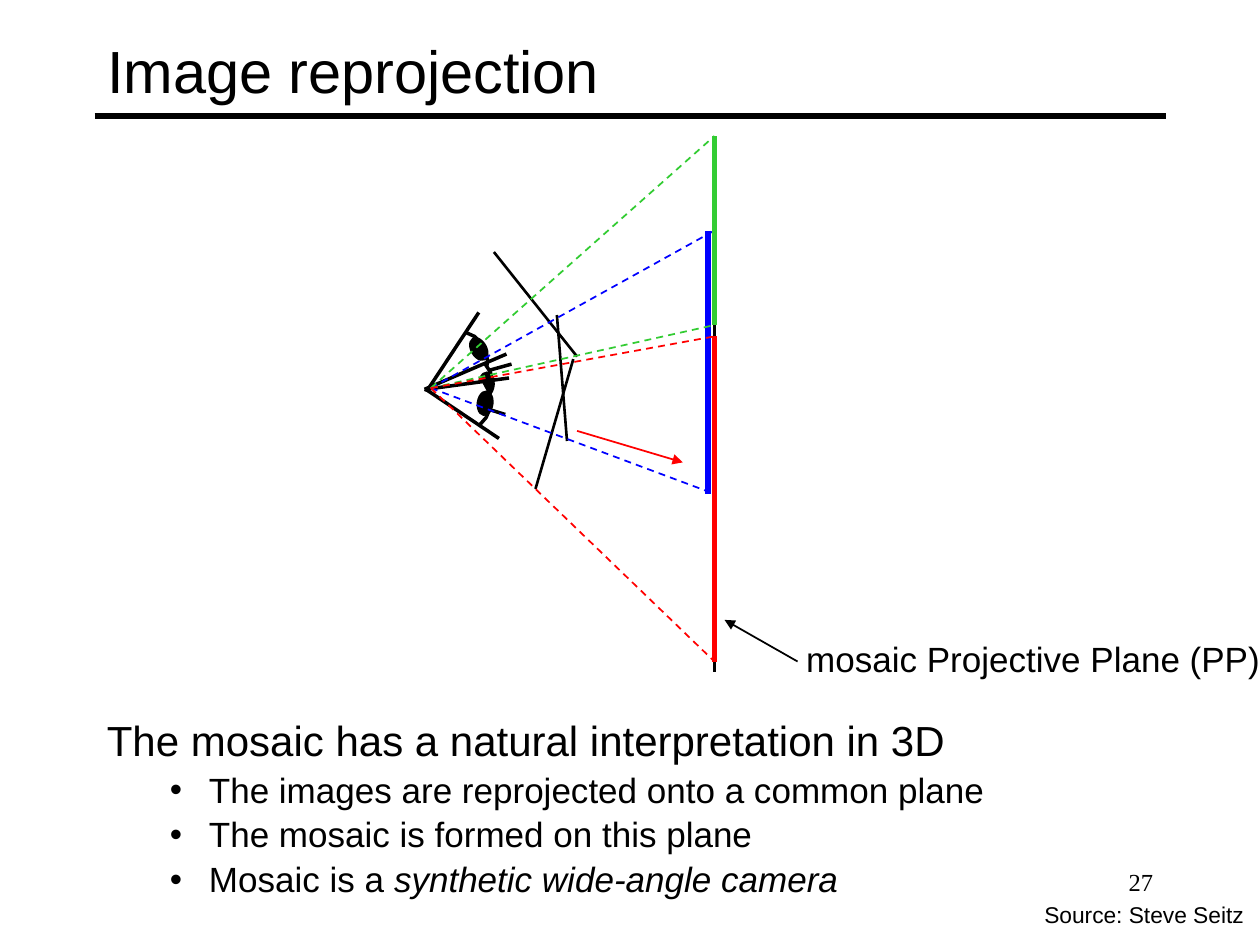
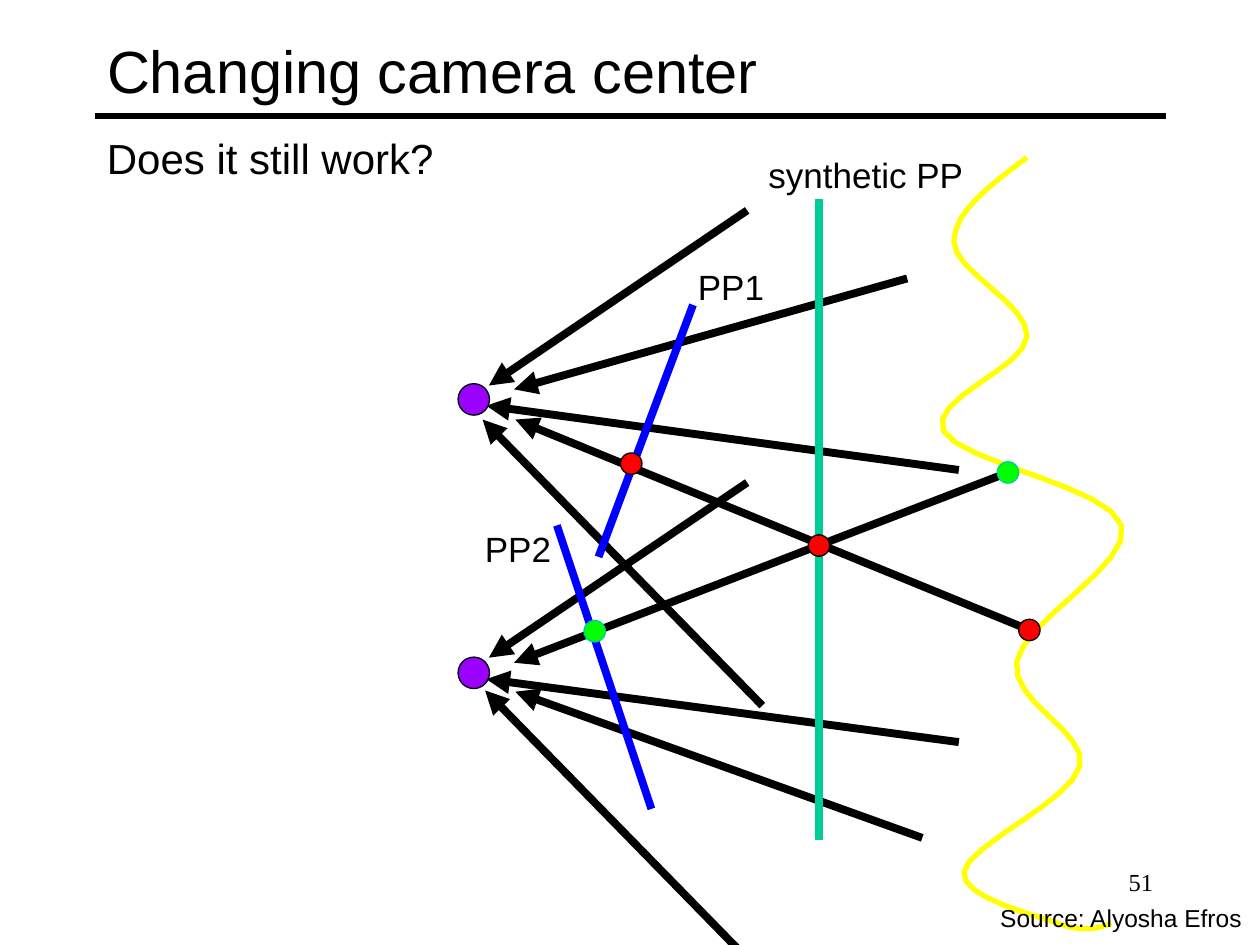
from lxml.etree import SubElement
from pptx import Presentation
from pptx.dml.color import RGBColor
from pptx.enum.dml import MSO_LINE
from pptx.enum.shapes import MSO_CONNECTOR, MSO_SHAPE
from pptx.enum.text import MSO_ANCHOR, MSO_AUTO_SIZE, PP_ALIGN
from pptx.oxml.ns import qn
from pptx.util import Inches, Pt

BLACK = RGBColor(0x00, 0x00, 0x00)
WHITE = RGBColor(0xFF, 0xFF, 0xFF)
BLUE = RGBColor(0x00, 0x00, 0xFF)
LEAF = RGBColor(0x33, 0xCC, 0x33)
LIME = RGBColor(0x00, 0xFF, 0x00)
RED = RGBColor(0xFF, 0x00, 0x00)
TEAL = RGBColor(0x00, 0xCC, 0x99)
PURPLE = RGBColor(0x99, 0x00, 0xFF)
YELLOW = RGBColor(0xFF, 0xFF, 0x00)

SANS = "Arial"
SERIF = "Times New Roman"
TITLE = {"word_wrap": True, "auto_size": MSO_AUTO_SIZE.NONE,
         "vertical_anchor": MSO_ANCHOR.MIDDLE}
LEAD = {"size": 24, "left": 0.38, "hang": -0.38}
POINT = {"size": 20, "left": 0.81, "hang": -0.31, "bullet": "•"}


def apply(target, values):
    for name, value in values.items():
        setattr(target, name, value)


def write(para, text, size, face=SANS, slant=None):
    run = para.add_run()
    run.text = text
    apply(run.font, {"name": face, "size": Pt(size), "italic": slant})
    run.font.color.rgb = BLACK


def add_box(slide, area, wrap=True):
    box = slide.shapes.add_textbox(*map(Inches, area))
    apply(box.text_frame, {"word_wrap": wrap, "vertical_anchor": MSO_ANCHOR.TOP})
    return box.text_frame


def add_label(slide, area, text, size=20, wrap=False, face=SANS, align=PP_ALIGN.LEFT):
    para = add_box(slide, area, wrap).paragraphs[0]
    para.alignment = align
    write(para, text, size, face)


def add_body(slide, area, rows, pitch):
    frame = add_box(slide, area)
    for index, (form, parts) in enumerate(rows):
        para = frame.add_paragraph() if index else frame.paragraphs[0]
        props = para._p.get_or_add_pPr()
        props.set("marL", str(Inches(form["left"])))
        props.set("indent", str(Inches(form["hang"])))
        if "bullet" in form:
            SubElement(props, qn("a:buFont")).set("typeface", SANS)
            SubElement(props, qn("a:buChar")).set("char", form["bullet"])
        apply(para, {"line_spacing": pitch, "space_before": Pt(4 if index else 0)})
        for text, slant in parts:
            write(para, text, form["size"], slant=slant)


def add_line(slide, start, end, color=BLACK, width=1.5, dash=None, arrow=False):
    line = slide.shapes.add_connector(MSO_CONNECTOR.STRAIGHT, *map(Inches, (*start, *end)))
    line.line.color.rgb = color
    apply(line.line, {"width": Pt(width), "dash_style": dash})
    if arrow:
        SubElement(line.line._ln, qn("a:tailEnd")).set("type", "triangle")
    SubElement(line._element.spPr, qn("a:effectLst"))
    return line


def add_oval(slide, center, size, fill, edge=BLACK, width=0.75, tilt=0):
    corner = [mid - side / 2 for mid, side in zip(center, size)]
    oval = slide.shapes.add_shape(MSO_SHAPE.OVAL, *map(Inches, (*corner, *size)))
    oval.fill.solid()
    oval.fill.fore_color.rgb = fill
    oval.line.color.rgb = edge
    oval.line.width = Pt(width)
    oval.rotation = tilt
    oval.shadow.inherit = False


def trace(knots, steps):
    points = [knots[0]]
    for first in range(0, len(knots) - 1, 3):
        for step in range(1, steps + 1):
            t = step / steps
            weights = ((1 - t) ** 3, 3 * t * (1 - t) ** 2, 3 * t ** 2 * (1 - t), t ** 3)
            points.append(tuple(sum(w * k[axis] for w, k in zip(weights, knots[first:]))
                                for axis in (0, 1)))
    return points


def add_path(slide, points, fill=None, color=None, width=2):
    start, *rest = [tuple(map(Inches, point)) for point in points]
    pen = slide.shapes.build_freeform(*start)
    pen.add_line_segments(rest, close=fill is not None)
    path = pen.convert_to_shape()
    if fill is None:
        path.fill.background()
    else:
        path.fill.solid()
        path.fill.fore_color.rgb = fill
    if color is None:
        path.line.fill.background()
    else:
        path.line.color.rgb = color
        path.line.width = Pt(width)
    path.shadow.inherit = False


def add_eye(slide, apex, lids, arc, pupil, tilt, front=True):
    curve = trace(arc, 5)
    if front:
        add_path(slide, [apex, *curve], fill=WHITE)
    add_path(slide, curve, color=BLACK)
    add_line(slide, lids[0], apex, width=2)
    add_oval(slide, pupil, (0.12, 0.19), BLACK, width=1, tilt=tilt)
    add_line(slide, apex, lids[1], width=2)


def add_view(slide, color, top, low, plane):
    for end in (top, low):
        add_line(slide, (3.42, 3.08), (5.67, end), color, 1, MSO_LINE.DASH)
    add_line(slide, (plane, top), (plane, low), color, 3)


def add_page(deck, heading, number):
    slide = deck.slides.add_slide(deck.slide_layouts[5])
    title = slide.shapes.title
    sides = zip(("left", "top", "width", "height"), map(Inches, (0.75, 0.09, 8.5, 0.92)))
    apply(title, dict(sides))
    apply(title.text_frame, TITLE)
    para = title.text_frame.paragraphs[0]
    para.alignment = PP_ALIGN.LEFT
    write(para, heading, 34)
    add_label(slide, (7.17, 6.83, 2.08, 0.5), number, 14, True, SERIF, PP_ALIGN.RIGHT)
    return slide


def share_rule(slide):
    rule = add_line(slide, (0.75, 0.92), (9.25, 0.92), width=3)._element
    rule.nvCxnSpPr.cNvPr.set("id", "90")
    slide.slide_layout.shapes._spTree.append(rule)


def draw_mosaic(deck):
    slide = add_page(deck, "Image reprojection", "27")
    share_rule(slide)
    add_line(slide, (5.67, 1.08), (5.67, 5.33))
    add_label(slide, (6.3, 5.01, 3.84, 0.44), "mosaic Projective Plane (PP)")
    add_line(slide, (6.33, 5.25), (5.75, 4.92), width=1, arrow=True)

    add_body(slide, (0.75, 5.67, 8.5, 1.67), [
        (LEAD, [("The mosaic has a natural interpretation in 3D", None)]),
        (POINT, [("The images are reprojected onto a common plane", None)]),
        (POINT, [("The mosaic is formed on this plane", None)]),
        (POINT, [("Mosaic is a ", None), ("synthetic wide-angle camera", True)]),
    ], 0.9)

    eyes = [
        ((3.41, 3.07), [(3.8, 2.48), (4.06, 2.89)],
         [(3.7, 2.64), (3.82, 2.67), (3.9, 2.81), (3.86, 2.94)], (3.8, 2.77), 330.3, False),
        ((3.37, 3.09), [(4.02, 2.81), (4.01, 3.29)],
         [(3.85, 2.89), (3.94, 2.98), (3.92, 3.13), (3.82, 3.23)], (3.86, 3.05), 3.4),
        ((3.38, 3.09), [(3.96, 3.48), (4.04, 3)],
         [(3.81, 3.37), (3.91, 3.29), (3.92, 3.14), (3.84, 3.03)], (3.85, 3.2), 7.2),
    ]
    for eye in eyes:
        add_eye(slide, *eye)
    planes = [((3.92, 2), (4.58, 2.83)), ((4.42, 2.5), (4.5, 3.5)), ((4.25, 3.88), (4.55, 2.85))]
    for start, end in planes:
        add_line(slide, start, end)

    add_view(slide, BLUE, 1.83, 3.92, 5.62)
    add_view(slide, LEAF, 1.08, 2.58, 5.67)
    add_view(slide, RED, 2.67, 5.25, 5.67)
    add_line(slide, (4.58, 3.42), (5.42, 3.67), RED, 1, arrow=True)
    add_label(slide, (8.19, 7.1, 1.81, 0.32), "Source: Steve Seitz", 13, True)


def draw_centers(deck):
    slide = add_page(deck, "Changing camera center", "51")
    add_body(slide, (0.75, 1, 8.5, 0.58), [(LEAD, [("Does it still work?", None)])], 1)

    rays = [
        ((7.2, 2.21), (4.08, 3.09)), ((7.61, 3.73), (3.86, 3.22)),
        ((8.17, 5), (4.09, 3.33)), ((5.93, 1.67), (3.88, 3.06)),
        ((6.05, 5.6), (3.83, 3.33)), ((8, 3.75), (4.08, 5.26)),
        ((7.61, 5.89), (3.86, 5.39)), ((7.32, 6.65), (4.09, 5.49)),
        ((5.93, 3.83), (3.88, 5.22)), ((6.07, 7.75), (3.85, 5.48)),
    ]
    for start, end in rays:
        add_line(slide, start, end, width=4.5, arrow=True)
    for center in ((3.76, 3.17), (3.76, 5.34)):
        add_oval(slide, center, (0.25, 0.25), PURPLE)

    scene = [
        (8.15, 1.25), (7.86, 1.47), (7.57, 1.68), (7.57, 1.92),
        (7.57, 2.15), (8.17, 2.42), (8.15, 2.67),
        (8.14, 2.92), (7.36, 3.17), (7.49, 3.42),
        (7.61, 3.67), (8.81, 3.86), (8.9, 4.17),
        (9, 4.47), (8.12, 4.93), (8.07, 5.25),
        (8.01, 5.57), (8.64, 5.81), (8.57, 6.08),
        (8.5, 6.36), (7.68, 6.71), (7.65, 6.92),
        (7.62, 7.12), (8.21, 7.26), (8.4, 7.33),
        (8.6, 7.4), (8.71, 7.37), (8.82, 7.33),
    ]
    add_path(slide, trace(scene, 8), color=YELLOW, width=3)

    planes = [
        ((6.5, 1.58), (6.5, 6.67), TEAL),
        ((5.5, 2.42), (4.75, 4.42), BLUE),
        ((4.42, 4.17), (5.17, 6.42), BLUE),
    ]
    for start, end, color in planes:
        add_line(slide, start, end, color, 4.5)
    add_label(slide, (6, 1.17, 1.8, 0.43), "synthetic PP")
    add_label(slide, (5.44, 2.06, 0.73, 0.43), "PP1")
    add_label(slide, (3.75, 4.14, 0.73, 0.43), "PP2")

    dots = [
        (RED, BLACK, [(5.01, 3.68), (8.17, 5), (6.5, 4.33)]),
        (LIME, TEAL, [(4.72, 5.01), (8, 3.75)]),
    ]
    for fill, edge, centers in dots:
        for center in centers:
            add_oval(slide, center, (0.17, 0.17), fill, edge)
    add_label(slide, (7.84, 7.12, 2.16, 0.34), "Source: Alyosha Efros", 14, True)


def main():
    deck = Presentation()
    apply(deck, {"slide_width": Inches(10), "slide_height": Inches(7.5)})
    draw_mosaic(deck)
    draw_centers(deck)
    deck.save("out.pptx")


if __name__ == "__main__":
    main()
